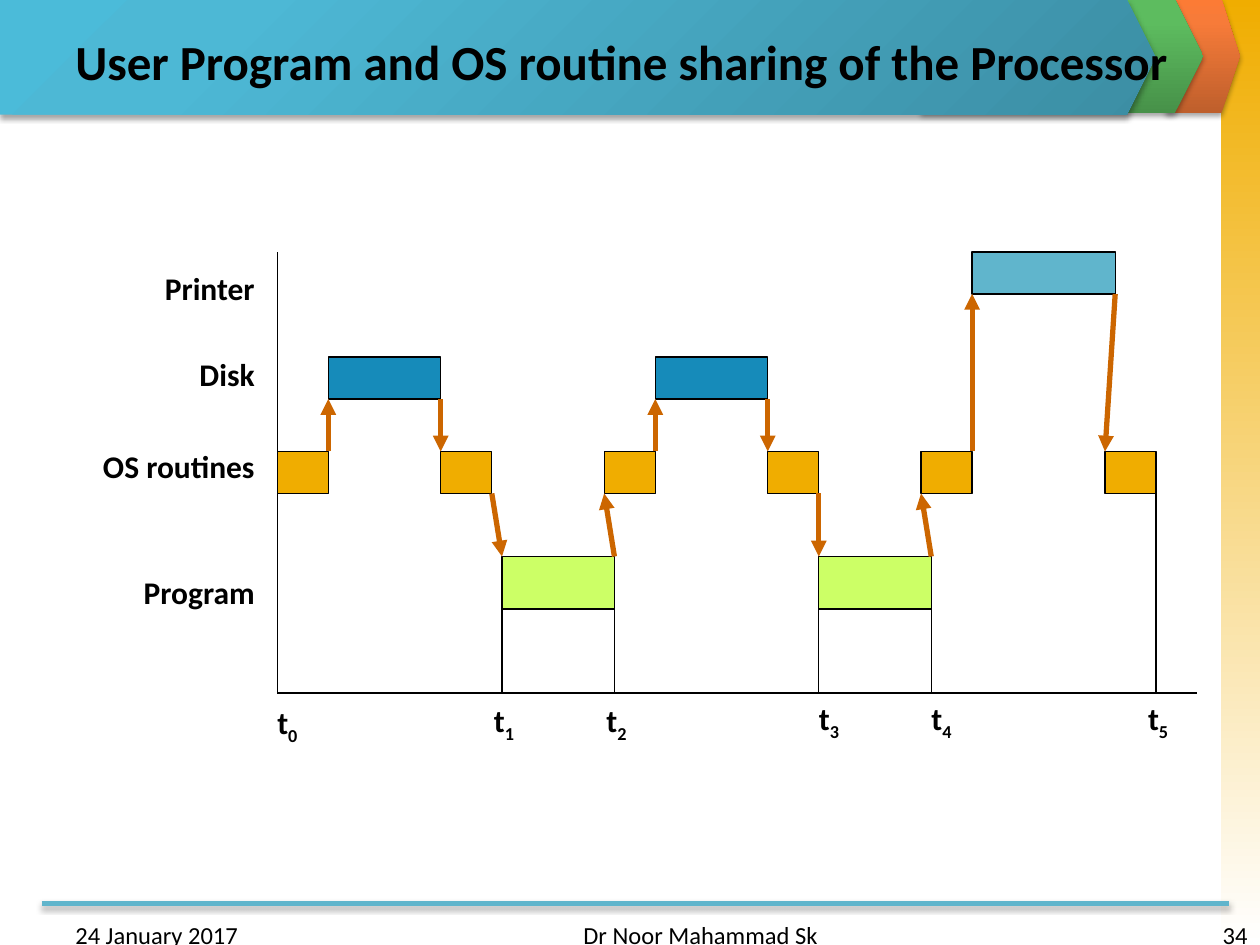
from itertools import pairwise

from pptx import Presentation
from pptx.dml.color import RGBColor
from pptx.enum.shapes import MSO_CONNECTOR, MSO_SHAPE
from pptx.enum.text import MSO_ANCHOR, PP_ALIGN
from pptx.oxml import parse_xml
from pptx.oxml.ns import nsdecls, qn
from pptx.util import Inches, Pt

hex_color = RGBColor.from_string
NO_EFFECT = f'<a:effectLst {nsdecls("a")}/>'
SOFT_SHADOW = (
    f'<a:effectLst {nsdecls("a")}><a:outerShdw blurRad="39370" dist="22860" dir="5400000" '
    'rotWithShape="0"><a:srgbClr val="000000"><a:alpha val="35000"/></a:srgbClr>'
    '</a:outerShdw></a:effectLst>'
)

prs = Presentation()
prs.slide_width, prs.slide_height = Inches(10), Inches(7.5)
slide = prs.slides.add_slide(prs.slide_layouts[6])
shapes = slide.shapes

# The chart grid: 90 time columns along the axis, 12 rows to the inch
AXIS_LEFT, AXIS_RIGHT, COLUMNS = 2.2, 9.5, 90
COLUMN = (AXIS_RIGHT - AXIS_LEFT) / COLUMNS
ROW = 1 / 12
AXIS_ROW = 66


def add_line(x1, y1, x2, y2, color="000000", width=0.75, arrow=False, effect=NO_EFFECT):
    line = shapes.add_connector(
        MSO_CONNECTOR.STRAIGHT, Inches(x1), Inches(y1), Inches(x2), Inches(y2))
    line.line.color.rgb = hex_color(color)
    line.line.width = Pt(width)
    properties = line._element.spPr
    if arrow:
        properties.find(qn("a:ln")).append(
            parse_xml(f'<a:tailEnd {nsdecls("a")} type="triangle"/>'))
    properties.append(parse_xml(effect))


def add_text(text, left, top, width, height, size, bold=False,
             align=PP_ALIGN.LEFT, anchor=MSO_ANCHOR.TOP, subscript=""):
    box = shapes.add_textbox(Inches(left), Inches(top), Inches(width), Inches(height))
    frame = box.text_frame
    frame.word_wrap = True
    frame.vertical_anchor = anchor
    paragraph = frame.paragraphs[0]
    paragraph.alignment = align
    paragraph.font.name = "Calibri"
    paragraph.font.size = Pt(size)
    paragraph.font.bold = bold
    paragraph.font.color.rgb = hex_color("000000")
    paragraph.add_run().text = text
    if subscript:
        run = paragraph.add_run()
        run.text = subscript
        run.font._element.set("baseline", "-25000")


# Side strip and header bands, back to front
upward = '<a:lin ang="16200000" scaled="0"/>'
downward = '<a:lin ang="5400000" scaled="0"/>'
from_corner = '<a:path path="circle"><a:fillToRect l="100000" t="100000"/></a:path>'
bands = [
    (MSO_SHAPE.RECTANGLE, 9.69, 0, 0.31, 7.5,
     [(0, "F0AD00"), (100, "FFFFFF")], downward, NO_EFFECT),
    (MSO_SHAPE.PENTAGON, 9.25, -0.01, 0.59, 0.91,
     [(0, "BE5F2C"), (80, "F77B39"), (100, "FC7B35")], upward, SOFT_SHADOW),
    (MSO_SHAPE.PENTAGON, 7.31, -0.01, 2.24, 0.91,
     [(0, "479149"), (80, "5DBC5F"), (100, "5BBF5E")], upward, SOFT_SHADOW),
    (MSO_SHAPE.PENTAGON, 0, 0, 9.17, 0.91,
     [(0, "3C8EA4"), (80, "4DB8D5"), (100, "4BBBD9")], from_corner, SOFT_SHADOW),
]
for preset, left, top, width, height, stops, direction, effect in bands:
    band = shapes.add_shape(preset, Inches(left), Inches(top), Inches(width), Inches(height))
    if preset == MSO_SHAPE.PENTAGON:
        band.adjustments[0] = 0.25
    stop_xml = "".join(
        f'<a:gs pos="{share * 1000}"><a:srgbClr val="{color}"/></a:gs>' for share, color in stops)
    properties = band._element.spPr
    properties.append(parse_xml(
        f'<a:gradFill {nsdecls("a")} rotWithShape="1"><a:gsLst>{stop_xml}</a:gsLst>'
        f'{direction}</a:gradFill>'))
    band.line.fill.background()
    properties.append(parse_xml(effect))

add_line(0.33, 7.17, 9.75, 7.17, "60B5CC", 3, effect=SOFT_SHADOW)
add_text("User Program and OS routine sharing of the Processor",
         0.5, 0.14, 9, 0.69, 28, bold=True, anchor=MSO_ANCHOR.MIDDLE)

# Axes
axis_y = AXIS_ROW * ROW
add_line(AXIS_LEFT, 2, AXIS_LEFT, axis_y)
add_line(AXIS_LEFT, axis_y, AXIS_RIGHT, axis_y)

# Lanes: label row, bar row, bar rows high, bar columns wide, colour
lanes = {
    "Printer": (25, 24, 4, 14, "60B5CC"),
    "Disk": (33.2, 34, 4, 11, "168BBA"),
    "OS routines": (42, 43, 4, 5, "F0AD00"),
    "Program": (54, 53, 5, 11, "CCFF66"),
}
for lane, (label_row, *_) in lanes.items():
    add_text(lane, 0.25, label_row * ROW, 1.87, 0.4, 18, bold=True, align=PP_ALIGN.RIGHT)

# Activities in order of time, each with its start column
activities = [
    ("OS routines", 0), ("Disk", 5), ("OS routines", 16), ("Program", 22),
    ("OS routines", 32), ("Disk", 37), ("OS routines", 48), ("Program", 53),
    ("OS routines", 63), ("Printer", 68), ("OS routines", 81),
]
bars = []
for lane, start in activities:
    _, row, rows, columns, color = lanes[lane]
    left, top = AXIS_LEFT + start * COLUMN, row * ROW
    width, height = columns * COLUMN, rows * ROW
    bar = shapes.add_shape(
        MSO_SHAPE.RECTANGLE, Inches(left), Inches(top), Inches(width), Inches(height))
    bar.shadow.inherit = False
    bar.fill.solid()
    bar.fill.fore_color.rgb = hex_color(color)
    bar.line.color.rgb = hex_color("000000")
    bar.line.width = Pt(0.75)
    bars.append((left, top, left + width, top + height))

# Control passes from the end of each activity to the start of the next
for (_, top, right, bottom), (next_left, next_top, _, next_bottom) in pairwise(bars):
    if next_top < top:
        add_line(right, top, next_left, next_bottom, "CC6600", 3, arrow=True)
    else:
        add_line(right, bottom, next_left, next_top, "CC6600", 3, arrow=True)

# Drop lines to the axis
for (lane, _), (left, _, right, bottom) in zip(activities, bars):
    if lane == "Program":
        add_line(left, bottom, left, axis_y)
        add_line(right, bottom, right, axis_y)
last_right, last_bottom = bars[-1][2:]
add_line(last_right, last_bottom, last_right, axis_y)

# Time labels: left column and top row
time_labels = [(-1.2, 66.4), (20, 66.2), (31, 66.2), (51.8, 66), (62.8, 66), (84, 66)]
for index, (column, row) in enumerate(time_labels):
    add_text("t", AXIS_LEFT + column * COLUMN, row * ROW, 0.5, 0.4, 18,
             bold=True, subscript=str(index))

# Footer
add_text("24 January 2017", 0.5, 7.25, 2.33, 0.25, 14)
add_text("Dr Noor Mahammad Sk", 3.42, 7.25, 3.17, 0.25, 14, align=PP_ALIGN.RIGHT)
add_text("34", 7.67, 7.25, 2.33, 0.25, 14, align=PP_ALIGN.RIGHT)

prs.save("out.pptx")
